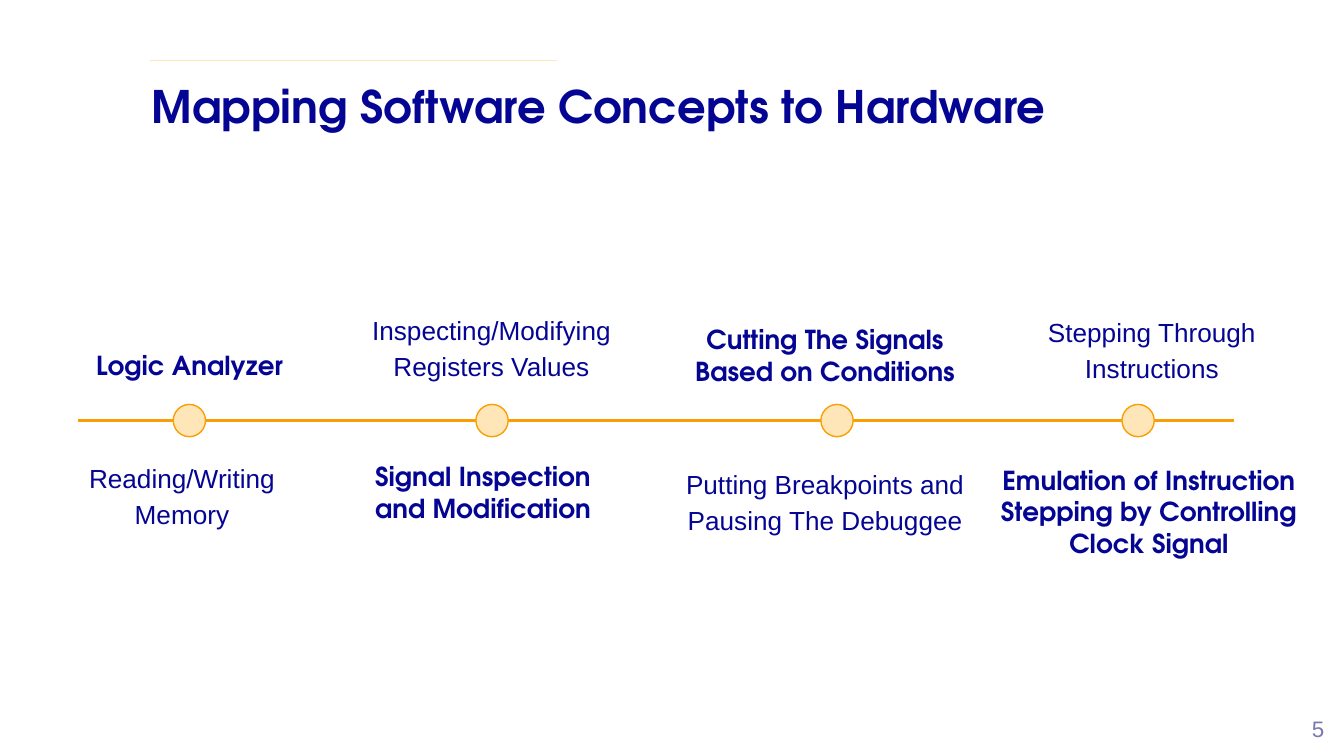
from dataclasses import dataclass

from lxml.etree import SubElement
from pptx import Presentation
from pptx.dml.color import RGBColor
from pptx.enum.shapes import MSO_CONNECTOR, MSO_SHAPE
from pptx.enum.text import MSO_ANCHOR, MSO_AUTO_SIZE, PP_ALIGN
from pptx.oxml.ns import qn
from pptx.slide import Slide
from pptx.text.text import TextFrame
from pptx.util import Cm, Pt

NAVY = RGBColor(0x05, 0x05, 0x94)
ORANGE = RGBColor(0xFA, 0x9F, 0x03)
CREAM = RGBColor(0xFF, 0xE6, 0xB9)
MUTED = RGBColor(0x79, 0x79, 0xAE)
HEADING_FONT = "TeX Gyre Adventor"
BODY_FONT = "Arial"
TIMELINE_Y = 7.95
MARKER_SIZE = 0.61


@dataclass(frozen=True)
class TextStyle:
    font: str
    size: int
    color: RGBColor
    bold: bool = False
    alignment: PP_ALIGN = PP_ALIGN.CENTER
    line_spacing: float = 1.0
    anchor: MSO_ANCHOR = MSO_ANCHOR.TOP


@dataclass(frozen=True)
class Label:
    text: str
    left: float
    top: float
    width: float
    height: float
    style: TextStyle


@dataclass(frozen=True)
class Milestone:
    center: float
    above: Label
    below: Label


TITLE = TextStyle(HEADING_FONT, 24, NAVY, bold=True, alignment=PP_ALIGN.LEFT)
HARDWARE = TextStyle(HEADING_FONT, 14, NAVY, bold=True)
SOFTWARE = TextStyle(BODY_FONT, 14, NAVY, line_spacing=1.15)
PAGE_NUMBER = TextStyle(BODY_FONT, 12, MUTED, alignment=PP_ALIGN.RIGHT, anchor=MSO_ANCHOR.MIDDLE)


def hardware(text: str, left: float, top: float, width: float) -> Label:
    return Label(text, left, top, width, 0.97, HARDWARE)


def software(text: str, left: float, top: float, width: float) -> Label:
    return Label(text, left, top, width, 2.01, SOFTWARE)


MILESTONES = [
    Milestone(
        3.58,
        hardware("Logic Analyzer", 1.35, 6.35, 4.47),
        software("Reading/Writing Memory", 1.04, 8.41, 4.8),
    ),
    Milestone(
        9.3,
        software("Inspecting/Modifying Registers Values", 6.32, 5.61, 5.94),
        hardware("Signal Inspection and Modification", 6.5, 8.46, 5.26),
    ),
    Milestone(
        15.82,
        hardware("Cutting The Signals Based on Conditions", 12.52, 5.87, 6.15),
        software("Putting Breakpoints and Pausing The Debuggee", 12.7, 8.51, 5.79),
    ),
    Milestone(
        21.51,
        software("Stepping Through Instructions", 18.95, 5.64, 5.64),
        hardware("Emulation of Instruction Stepping by Controlling Clock Signal", 18.26, 8.53, 6.91),
    ),
]


def write_text(frame: TextFrame, text: str, style: TextStyle) -> None:
    frame.word_wrap = True
    frame.auto_size = MSO_AUTO_SIZE.NONE
    frame.vertical_anchor = style.anchor
    frame.margin_left = frame.margin_right = Cm(0.25)
    frame.margin_top = frame.margin_bottom = Cm(0.25)
    frame.text = text
    paragraph = frame.paragraphs[0]
    paragraph.alignment = style.alignment
    paragraph.line_spacing = style.line_spacing
    paragraph.font.name = style.font
    paragraph.font.size = Pt(style.size)
    paragraph.font.bold = style.bold
    paragraph.font.color.rgb = style.color


def add_title(slide: Slide, text: str) -> None:
    title = slide.shapes.title
    title.left, title.top = Cm(2.62), Cm(1.24)
    title.width, title.height = Cm(19.2), Cm(2.62)
    write_text(title.text_frame, text, TITLE)


def add_label(slide: Slide, label: Label) -> None:
    box = slide.shapes.add_textbox(
        Cm(label.left), Cm(label.top), Cm(label.width), Cm(label.height)
    )
    write_text(box.text_frame, label.text, label.style)


def add_rule(slide: Slide, start: float, end: float, y: float, color: RGBColor, width: float) -> None:
    rule = slide.shapes.add_connector(MSO_CONNECTOR.STRAIGHT, Cm(start), Cm(y), Cm(end), Cm(y))
    rule.line.color.rgb = color
    rule.line.width = Pt(width)
    SubElement(rule._element.spPr, qn("a:effectLst"))


def add_marker(slide: Slide, center: float) -> None:
    marker = slide.shapes.add_shape(
        MSO_SHAPE.OVAL,
        Cm(center - MARKER_SIZE / 2),
        Cm(TIMELINE_Y - MARKER_SIZE / 2),
        Cm(MARKER_SIZE),
        Cm(MARKER_SIZE),
    )
    marker.shadow.inherit = False
    marker.fill.solid()
    marker.fill.fore_color.rgb = CREAM
    marker.line.color.rgb = ORANGE
    marker.line.width = Pt(0.75)


def main() -> None:
    presentation = Presentation()
    presentation.slide_width = Cm(25.4)
    presentation.slide_height = Cm(14.29)
    slide = presentation.slides.add_slide(presentation.slide_layouts.get_by_name("Title Only"))

    add_title(slide, "Mapping Software Concepts to Hardware")
    add_rule(slide, 2.84, 10.52, 1.14, CREAM, 0.75)
    add_rule(slide, 1.47, 23.32, TIMELINE_Y, ORANGE, 1.5)
    for milestone in MILESTONES:
        add_marker(slide, milestone.center)
        add_label(slide, milestone.above)
        add_label(slide, milestone.below)
    add_label(slide, Label("5", 19.56, 13.39, 5.72, 0.76, PAGE_NUMBER))

    presentation.save("out.pptx")


if __name__ == "__main__":
    main()
